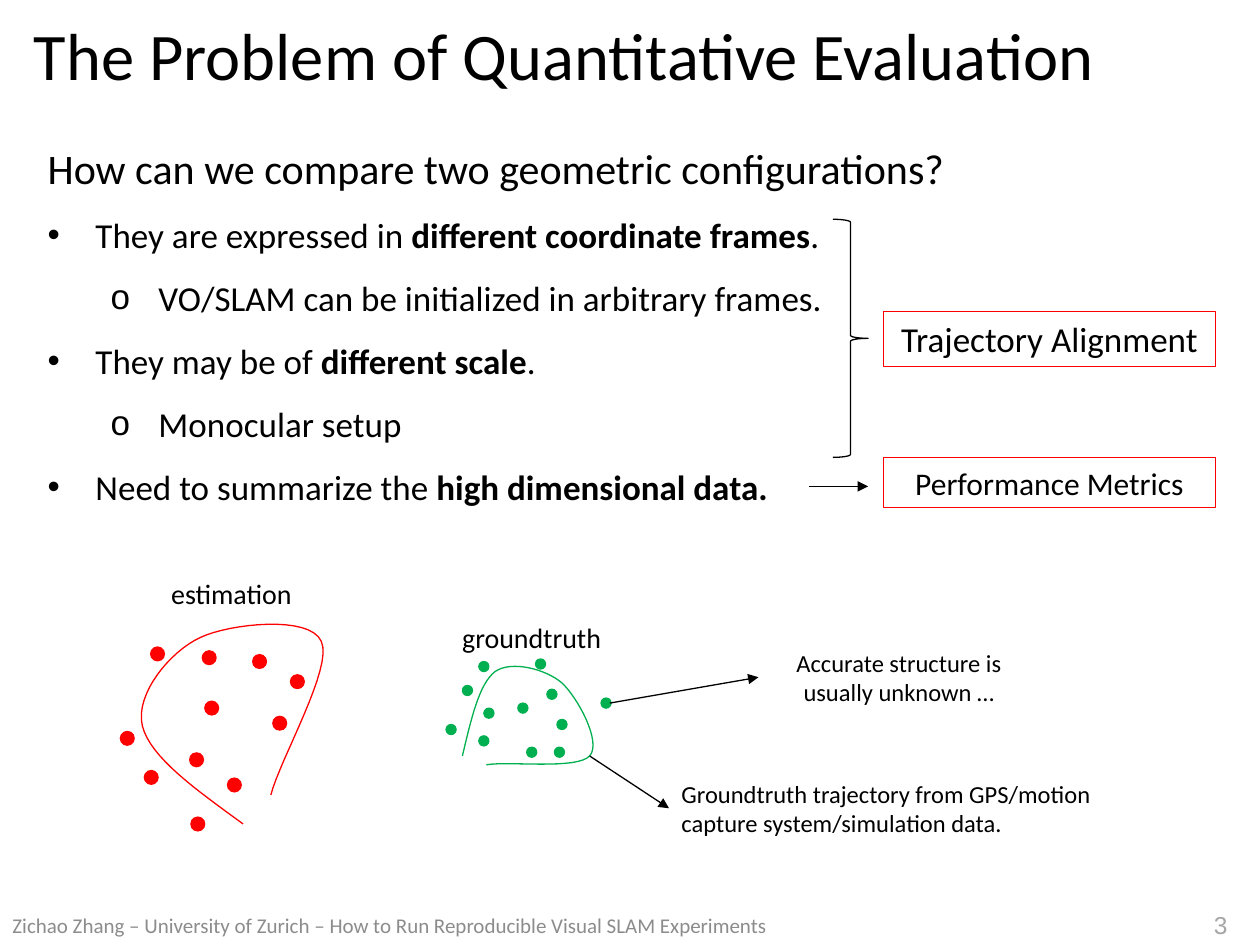
import pptx
import pptx.util
import lxml.etree
from pptx.dml.color import RGBColor
from pptx.enum.shapes import MSO_CONNECTOR, MSO_SHAPE
from pptx.enum.text import MSO_ANCHOR, PP_ALIGN
from pptx.oxml.ns import qn

BLACK = RGBColor(0, 0, 0)
RED = RGBColor(255, 0, 0)
GREEN = RGBColor(0, 0xB0, 0x50)
GRAY = RGBColor(0x8C, 0x8C, 0x8C)
PALE = RGBColor(0xA6, 0xA6, 0xA6)

# The slide is a grid of 100 columns and 75 rows
COLS, ROWS = 100, 75
CELL = pptx.util.Inches(0.1)
THIN = pptx.util.Pt(0.75)


def cells(*counts):
    return [round(n * CELL) for n in counts]


def place(box, x, y, w, h):
    """Turn an offset within a box, in cells, into slide lengths."""
    return cells(box[0] + x, box[1] + y, w, h)


def write(frame, text, size=14, color=BLACK, font="Calibri", align=PP_ALIGN.LEFT,
          space=None, bullet=None, level=0, indent=0.38, more=False):
    """Write one paragraph; words between asterisks are bold."""
    para = frame.add_paragraph() if more else frame.paragraphs[0]
    para.alignment, para.level = align, level
    if space:
        para.line_spacing = space
    if bullet:
        props = para._p.get_or_add_pPr()
        props.set("marL", str(pptx.util.Inches(indent + level * 0.5)))
        props.set("indent", str(-pptx.util.Inches(indent)))
        lxml.etree.SubElement(props, qn("a:buFont")).set("typeface", "Arial")
        lxml.etree.SubElement(props, qn("a:buChar")).set("char", bullet)
    for i, part in enumerate(text.split("*")):
        if part:
            run = para.add_run()
            run.text = part
            run.font.size, run.font.name = pptx.util.Pt(size), font
            run.font.bold = i % 2 == 1
            run.font.color.rgb = color


def label(slide, spot, text, anchor=MSO_ANCHOR.TOP, **style):
    shape = slide.shapes.add_textbox(*spot)
    shape.text_frame.word_wrap = True
    shape.text_frame.vertical_anchor = anchor
    write(shape.text_frame, text, **style)
    return shape


def draw(shapes, kind, spot, fill=None, line=None):
    shape = shapes.add_shape(kind, *spot)
    shape.shadow.inherit = False
    if fill:
        shape.fill.solid()
        shape.fill.fore_color.rgb = fill
    else:
        shape.fill.background()
    if line:
        shape.line.color.rgb, shape.line.width = line, THIN
    else:
        shape.line.fill.background()
    return shape


def arrow(slide, box, start, end, goal=None):
    ends = place(box, *start, 0, 0)[:2] + place(box, *end, 0, 0)[:2]
    link = slide.shapes.add_connector(MSO_CONNECTOR.STRAIGHT, *ends)
    if goal is not None:
        link.end_connect(goal, 1)
    link.line.color.rgb, link.line.width = BLACK, THIN
    lxml.etree.SubElement(link.line._get_or_add_ln(), qn("a:tailEnd")).set("type", "triangle")
    lxml.etree.SubElement(link._element.spPr, qn("a:effectLst"))


def curve(shapes, box, start, bends, color, steps=16):
    """Trace a chain of cubic curves, each given by two handles and an end."""
    trail = [start]
    for a, b, end in bends:
        first = trail[-1]
        for i in range(1, steps + 1):
            t = i / steps
            u = 1 - t
            trail.append([u**3 * p + 3 * u * u * t * q + 3 * u * t * t * r + t**3 * s
                          for p, q, r, s in zip(first, a, b, end)])
    spots = [place(box, x, y, 0, 0)[:2] for x, y in trail]
    pen = shapes.build_freeform(*spots[0], scale=1.0)
    pen.add_line_segments(spots[1:], close=False)
    shape = pen.convert_to_shape()
    shape.shadow.inherit = False
    shape.fill.background()
    shape.line.color.rgb, shape.line.width = color, THIN


def head(slide, box):
    label(slide, place(box, 0, 0, *box[2:]), "The Problem of Quantitative Evaluation",
          size=38, space=pptx.util.Pt(38))


def body(slide, box):
    frame = label(slide, place(box, 0, 0, *box[2:]),
                  "How can we compare two geometric configurations?",
                  size=24, space=1.5).text_frame
    points = [
        (0, "They are expressed in *different coordinate frames*."),
        (1, "VO/SLAM can be initialized in arbitrary frames."),
        (0, "They may be of *different scale*."),
        (1, "Monocular setup"),
        (0, "Need to summarize the *high dimensional data.*"),
    ]
    for level, text in points:
        write(frame, text, size=20, space=1.5, bullet="•o"[level], level=level, more=True)


def tasks(slide, box):
    """Brace and arrow that lead to the two framed answers."""
    draw(slide.shapes, MSO_SHAPE.RIGHT_BRACE, place(box, 1.9, 0, 2.8, 18.9), line=BLACK)
    arrow(slide, box, (0, 21.2), (4.7, 21.2))
    for y, h, size, text in [(7.3, 4.4, 20, "Trajectory Alignment"),
                             (18.9, 4, 18, "Performance Metrics")]:
        frame = draw(slide.shapes, MSO_SHAPE.RECTANGLE,
                     place(box, 5.9, y, 26.4, h), line=RED).text_frame
        frame.word_wrap = True
        frame.vertical_anchor = MSO_ANCHOR.MIDDLE
        write(frame, text, size=size, align=PP_ALIGN.CENTER)


def cloud(slide, box, name, spot, color, dot, dots, start, bends, line=None):
    """A named path with the points seen around it."""
    label(slide, place(box, *spot), name, size=16)
    group = slide.shapes.add_group_shape().shapes
    curve(group, box, start, bends, color)
    for x, y in dots:
        draw(group, MSO_SHAPE.OVAL, place(box, x, y, dot, dot), fill=color, line=line)


def notes(slide, box):
    """Remarks at the right, each with an arrow from the truth."""
    for start, spot, text, align in [
        ((1.6, 4.9), (13.4, 0, 22.3, 5.7),
         "Accurate structure is usually unknown …", PP_ALIGN.CENTER),
        ((0, 9.1), (6.3, 10.4, 37, 5.7),
         "Groundtruth trajectory from GPS/motion capture system/simulation data.",
         PP_ALIGN.LEFT),
    ]:
        goal = label(slide, place(box, *spot), text, align=align)
        arrow(slide, box, start, spot[:2], goal)


def foot(slide, box):
    label(slide, place(box, 0, 0.1, 62.2, 3.2),
          "Zichao Zhang – University of Zurich – How to Run Reproducible Visual SLAM Experiments",
          size=12, color=GRAY, anchor=MSO_ANCHOR.MIDDLE)
    label(slide, place(box, 94, 0, 4.4, 3.4), "3", color=PALE, font="Arial",
          align=PP_ALIGN.RIGHT)


def main():
    deck = pptx.Presentation()
    deck.slide_width, deck.slide_height = cells(COLS, ROWS)
    slide = deck.slides.add_slide(deck.slide_layouts[6])
    head(slide, (1.7, 1.7, 96.7, 9.8))
    body(slide, (2.8, 8.8, 89.4, 32.3))
    tasks(slide, (64.2, 17.4))
    cloud(slide, (9.5, 45.3), "estimation", (3.1, 0, 12.2, 3.7), RED, 1.2,
          [(5.6, 19.5), (8.5, 16.4), (5.5, 14.4), (1.9, 15.8), (0, 12.7), (13.5, 8.2),
           (12.1, 11.5), (6.7, 10.3), (10.5, 6.6), (2.4, 6), (6.5, 6.3)],
          (9.8, 20.1),
          [((6.1, 17.4), (2.4, 14.8), (1.8, 12.3)), ((1.2, 9.8), (4, 6.4), (6.4, 5.3)),
           ((8.7, 4.2), (15.1, 3.5), (16, 5.6)), ((17, 7.6), (12.7, 15), (12, 17.8))])
    cloud(slide, (35.4, 48.8), "groundtruth", (0.3, 0, 13.4, 3.7), GREEN, 0.8,
          [(0, 8.7), (2.6, 9.6), (3, 7.4), (1.3, 5.6), (2.6, 3.7), (8.6, 10.5),
           (6.4, 10.5), (5.7, 7), (8.8, 8.3), (7.1, 3.5), (12.3, 6.6), (8, 5.9)],
          (1.3, 11.2),
          [((2, 8.3), (2.6, 5.5), (3.9, 4.5)), ((5.2, 3.6), (7.9, 4.3), (9.2, 5.4)),
           ((10.4, 6.5), (12.4, 10.1), (11.4, 11.2)), ((10.4, 12.3), (5.1, 11.6), (3.2, 11.9))],
          line=GREEN)
    notes(slide, (46.8, 50.9))
    foot(slide, (0, 71.7))
    deck.save("out.pptx")


if __name__ == "__main__":
    main()
